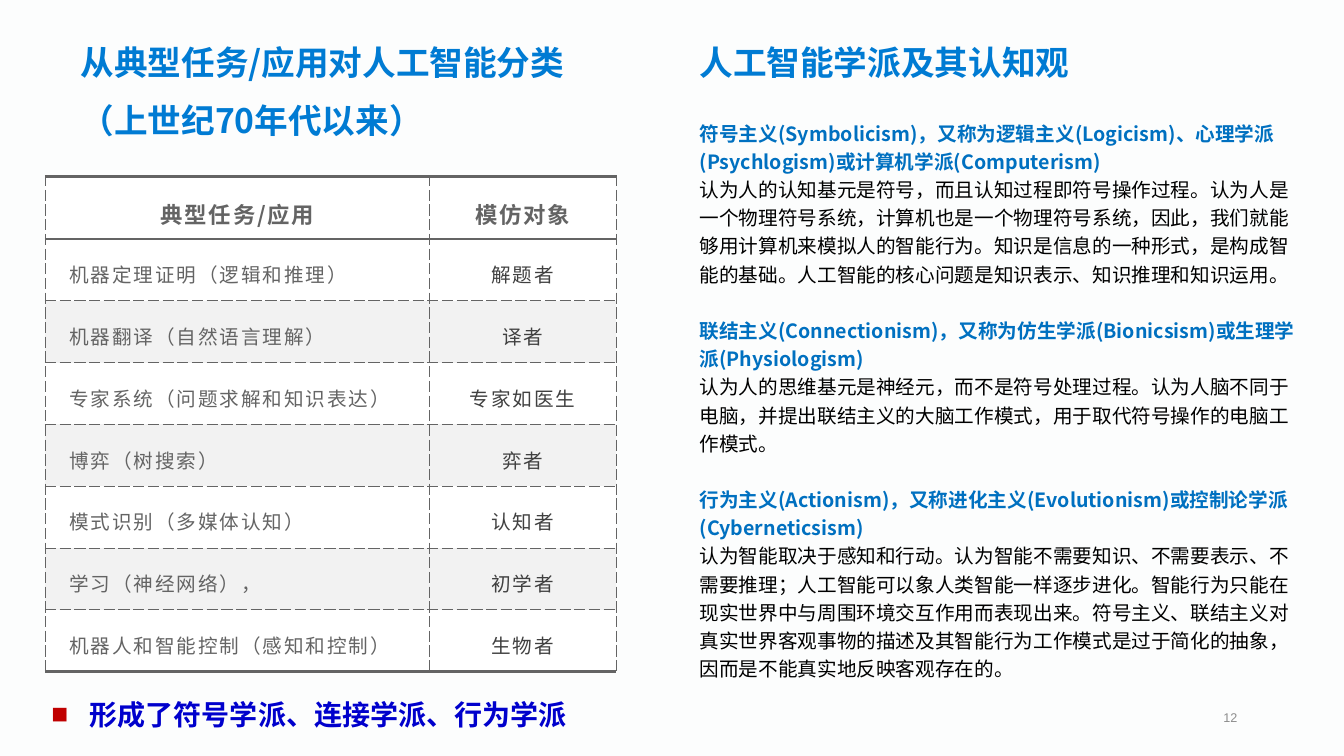
from lxml import etree
from pptx import Presentation
from pptx.dml.color import RGBColor
from pptx.enum.text import MSO_ANCHOR, MSO_AUTO_SIZE, PP_ALIGN
from pptx.oxml.ns import qn
from pptx.util import Inches, Pt

LEFT, CENTER, RIGHT = PP_ALIGN.LEFT, PP_ALIGN.CENTER, PP_ALIGN.RIGHT
TOP, MIDDLE = MSO_ANCHOR.TOP, MSO_ANCHOR.MIDDLE
NO_AUTOFIT = MSO_AUTO_SIZE.NONE

BACKGROUND = RGBColor(0xFC, 0xFD, 0xFD)
TITLE_BLUE = RGBColor(0x00, 0x7B, 0xD3)
SCHOOL_BLUE = RGBColor(0x00, 0x70, 0xC0)
SUMMARY_BLUE = RGBColor(0x00, 0x00, 0xCC)
BULLET_RED = RGBColor(0xC0, 0x00, 0x00)
BLACK = RGBColor(0x00, 0x00, 0x00)
GRAY = RGBColor(0x64, 0x64, 0x64)
DARK_GRAY = RGBColor(0x40, 0x40, 0x40)
PAGE_GRAY = RGBColor(0x8C, 0x8C, 0x8C)
WHITE = RGBColor(0xFF, 0xFF, 0xFF)
BAND_GRAY = RGBColor(0xF2, 0xF2, 0xF2)

CJK_FONT = "Noto Sans CJK SC"
TITLE_FORMAT = {"size": Pt(24), "bold": True, "name": CJK_FONT}
SCHOOL_FORMAT = {"size": Pt(14), "bold": True, "name": CJK_FONT}
BODY_FORMAT = {"size": Pt(14), "bold": False, "name": CJK_FONT}
HEADER_FORMAT = {"size": Pt(16), "bold": True, "name": CJK_FONT}
SUMMARY_FORMAT = {"size": Pt(20), "bold": True, "name": CJK_FONT}
PAGE_FORMAT = {"size": Pt(9), "bold": False, "name": "Arial"}

LEFT_TITLE = ["从典型任务/应用对人工智能分类", "（上世纪70年代以来）"]
RIGHT_TITLE = ["人工智能学派及其认知观"]
SUMMARY = "形成了符号学派、连接学派、行为学派"
TASKS = [
    ("典型任务/应用", "模仿对象"),
    ("机器定理证明（逻辑和推理）", "解题者"),
    ("机器翻译（自然语言理解）", "译者"),
    ("专家系统（问题求解和知识表达）", "专家如医生"),
    ("博弈（树搜索）", "弈者"),
    ("模式识别（多媒体认知）", "认知者"),
    ("学习（神经网络），", "初学者"),
    ("机器人和智能控制（感知和控制）", "生物者"),
]
SCHOOLS = [
    ("符号主义(Symbolicism)，又称为逻辑主义(Logicism)、心理学派(Psychlogism)或计算机学派(Computerism)",
     "认为人的认知基元是符号，而且认知过程即符号操作过程。认为人是一个物理符号系统，"
     "计算机也是一个物理符号系统，因此，我们就能够用计算机来模拟人的智能行为。"
     "知识是信息的一种形式，是构成智能的基础。人工智能的核心问题是知识表示、知识推理和知识运用。"),
    ("联结主义(Connectionism)，又称为仿生学派(Bionicsism)或生理学派(Physiologism)",
     "认为人的思维基元是神经元，而不是符号处理过程。认为人脑不同于电脑，"
     "并提出联结主义的大脑工作模式，用于取代符号操作的电脑工作模式。"),
    ("行为主义(Actionism)，又称进化主义(Evolutionism)或控制论学派(Cyberneticsism)",
     "认为智能取决于感知和行动。认为智能不需要知识、不需要表示、不需要推理；"
     "人工智能可以象人类智能一样逐步进化。智能行为只能在现实世界中与周围环境交互作用而表现出来。"
     "符号主义、联结主义对真实世界客观事物的描述及其智能行为工作模式是过于简化的抽象，"
     "因而是不能真实地反映客观存在的。"),
]


def write(paragraph, text, font_format, color, **layout):
    """Fill a paragraph; layout holds alignment and spacing values."""
    for key, value in layout.items():
        setattr(paragraph, key, value)
    run = paragraph.add_run()
    run.text = text
    run.font.color.rgb = color
    for key, value in font_format.items():
        setattr(run.font, key, value)
    properties = run._r.get_or_add_rPr()
    etree.SubElement(properties, qn("a:ea"), typeface=font_format["name"])
    return properties


def next_paragraph(frame, index):
    return frame.add_paragraph() if index else frame.paragraphs[0]


def add_frame(slide, box, wrap=True, anchor=TOP):
    frame = slide.shapes.add_textbox(*map(Inches, box)).text_frame
    frame.word_wrap, frame.vertical_anchor = wrap, anchor
    return frame


def write_title(frame, lines):
    for index, line in enumerate(lines):
        write(next_paragraph(frame, index), line, TITLE_FORMAT, TITLE_BLUE,
              alignment=LEFT, space_before=Pt(12 if index else 0))


def place_left_title(slide, box):
    title = slide.shapes.title
    title.left, title.top, title.width, title.height = map(Inches, box)
    frame = title.text_frame
    frame.word_wrap, frame.vertical_anchor = True, TOP
    frame.auto_size = NO_AUTOFIT
    write_title(frame, LEFT_TITLE)


def set_border(cell, side, width, dash):
    line = etree.SubElement(cell._tc.get_or_add_tcPr(), qn(f"a:ln{side}"), w=str(Pt(width)))
    fill = etree.SubElement(line, qn("a:solidFill"))
    etree.SubElement(fill, qn("a:srgbClr"), val=str(GRAY))
    etree.SubElement(line, qn("a:prstDash"), val=dash)


def add_task_table(slide, box):
    table = slide.shapes.add_table(len(TASKS), 2, *map(Inches, box)).table
    table.first_row = table.horz_banding = False
    table.columns[0].width, table.columns[1].width = Inches(3.81), Inches(1.85)
    heavy_rules = {0, 1, len(TASKS)}
    for row, texts in enumerate(TASKS):
        for column, text in enumerate(texts):
            cell = table.cell(row, column)
            cell.vertical_anchor = MIDDLE
            cell.margin_left = cell.margin_right = Inches(0.24)
            cell.margin_top = cell.margin_bottom = Inches(0.15)
            # Borders come before the fill in the cell properties
            for side, rule in (("L", None), ("R", None), ("T", row), ("B", row + 1)):
                heavy = rule in heavy_rules
                set_border(cell, side, 2.25 if heavy else 0.75, "solid" if heavy else "sysDash")
            cell.fill.solid()
            cell.fill.fore_color.rgb = BAND_GRAY if row and row % 2 == 0 else WHITE
            properties = write(
                cell.text_frame.paragraphs[0], text,
                BODY_FORMAT if row else HEADER_FORMAT,
                DARK_GRAY if row and column else GRAY,
                alignment=LEFT if row and not column else CENTER, line_spacing=1.2)
            properties.set("spc", "130")


def add_summary(slide, box):
    frame = add_frame(slide, box)
    frame.margin_left = frame.margin_right = Inches(0.13)
    frame.margin_top = frame.margin_bottom = Inches(0.07)
    paragraph = frame.paragraphs[0]
    # Red square bullet with a hanging indent
    bullet = paragraph._p.get_or_add_pPr()
    bullet.set("marL", str(Inches(0.38)))
    bullet.set("indent", str(-Inches(0.38)))
    color = etree.SubElement(bullet, qn("a:buClr"))
    etree.SubElement(color, qn("a:srgbClr"), val=str(BULLET_RED))
    etree.SubElement(bullet, qn("a:buFont"), typeface="Arial")
    etree.SubElement(bullet, qn("a:buChar"), char="■")
    write(paragraph, SUMMARY, SUMMARY_FORMAT, SUMMARY_BLUE, line_spacing=1.3)


def add_schools(slide, box):
    frame = add_frame(slide, box)
    for index, (school, view) in enumerate(SCHOOLS):
        write(next_paragraph(frame, index), school, SCHOOL_FORMAT, SCHOOL_BLUE,
              line_spacing=1.2, space_before=Pt(20 if index else 0))
        write(frame.add_paragraph(), view, BODY_FORMAT, BLACK, line_spacing=1.2)


def add_page_number(slide, box):
    frame = add_frame(slide, box, anchor=MIDDLE)
    write(frame.paragraphs[0], "12", PAGE_FORMAT, PAGE_GRAY, alignment=RIGHT)


def main():
    deck = Presentation()
    deck.slide_width, deck.slide_height = Inches(13.33), Inches(7.5)
    slide = deck.slides.add_slide(deck.slide_layouts[5])
    slide.background.fill.solid()
    slide.background.fill.fore_color.rgb = BACKGROUND

    # Left half: tasks and what they imitate
    place_left_title(slide, (0.7, 0.37, 5.41, 0.72))
    add_summary(slide, (0.38, 6.75, 5.81, 0.46))

    # Right half: schools of thought
    add_schools(slide, (6.84, 1.11, 6.22, 5.75))
    write_title(add_frame(slide, (6.84, 0.37, 3.87, 0.5), wrap=False), RIGHT_TITLE)

    add_task_table(slide, (0.45, 1.75, 5.66, 4.91))
    add_page_number(slide, (9.42, 6.94, 2.95, 0.35))
    deck.save("out.pptx")


if __name__ == "__main__":
    main()
